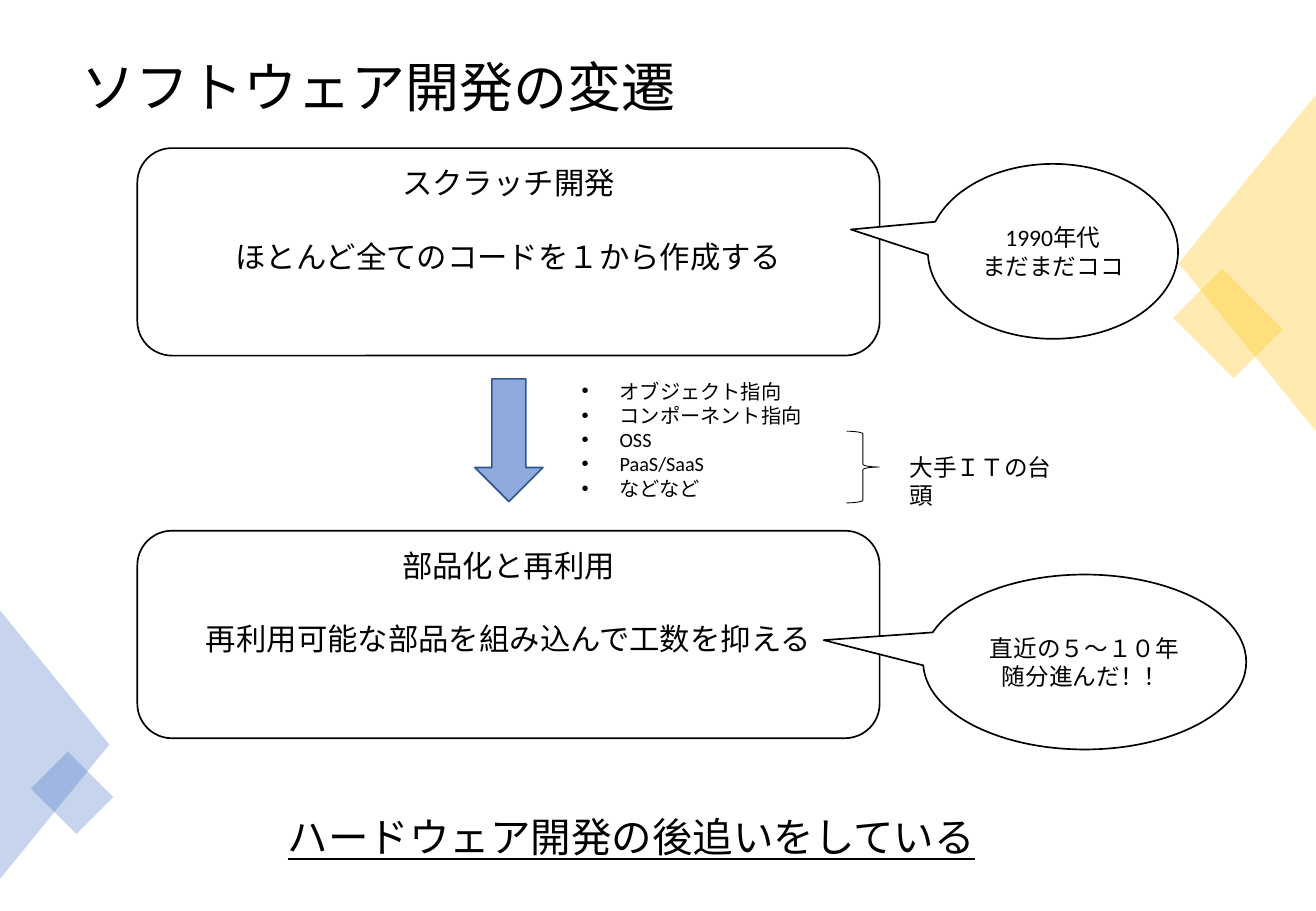
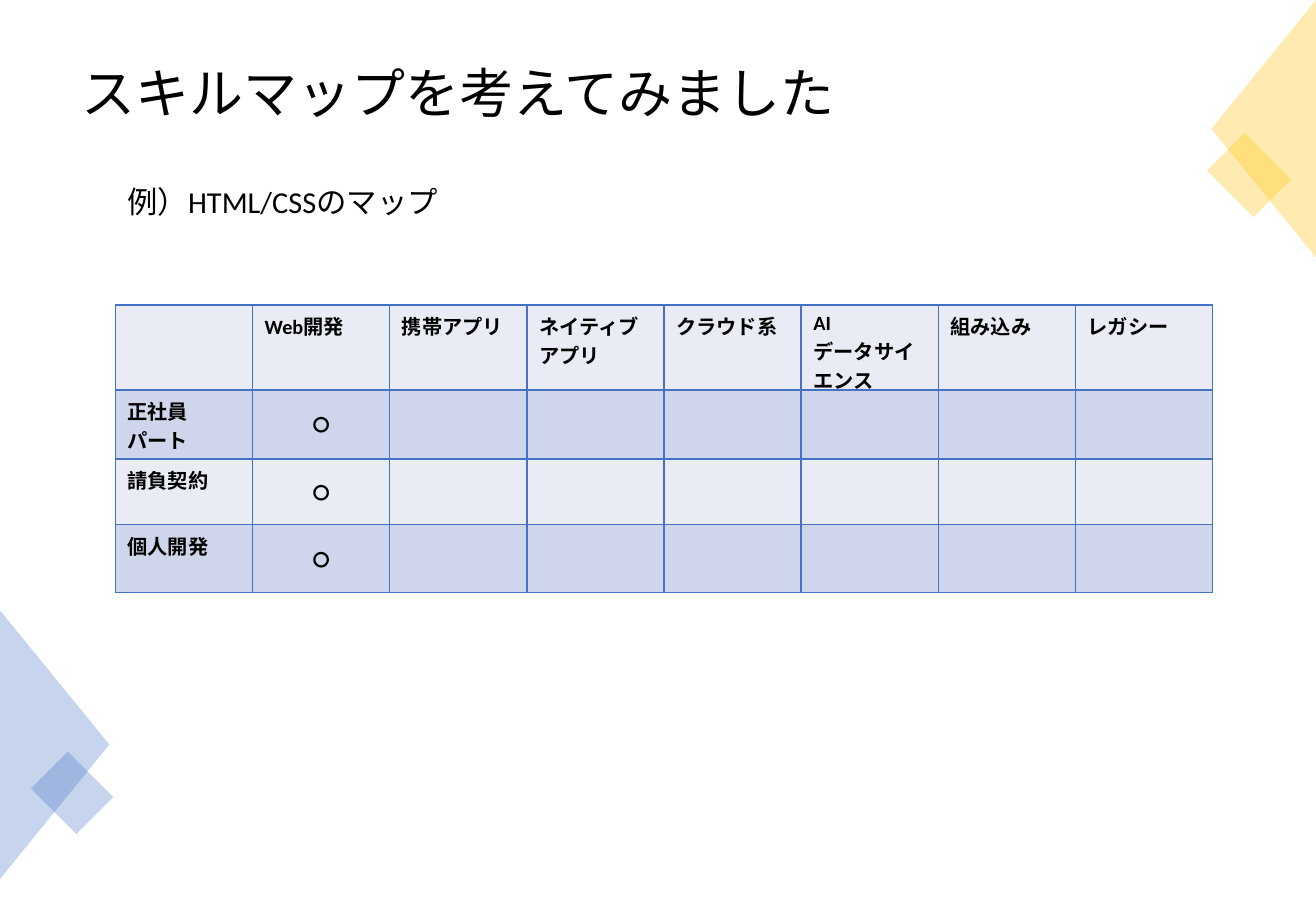
from collections import namedtuple

from pptx import Presentation
from pptx.dml.color import RGBColor
from pptx.enum.shapes import MSO_SHAPE
from pptx.enum.text import MSO_ANCHOR, PP_ALIGN
from pptx.oxml.ns import qn
from pptx.util import Pt
from lxml.etree import SubElement

Box = namedtuple("Box", "left top width height")

FONT = "Calibri"
COLORS = {
    "ink": "000000",
    "paper": "FFFFFF",
    "yellow": "FFC000",
    "blue": "4472C4",
    "arrow": "8FAADC",
    "arrow_edge": "325491",
    "row_light": "E9EBF5",
    "row_dark": "CFD5EA",
}

BLUE_CORNER = Box(0, 361.8, 64.8, 159.1)
CALLOUT_TIP = (-0.808, -0.125)

ERAS = [
    (Box(81.4, 87.8, 440, 123), "スクラッチ開発\nほとんど全てのコードを１から作成する"),
    (Box(81.4, 314.6, 440, 123), "部品化と再利用\n再利用可能な部品を組み込んで工数を抑える"),
]
REMARKS = [
    (Box(550, 97.2, 148.3, 103.7), "1990年代\nまだまだココ"),
    (Box(547.2, 340.6, 191.5, 103.7), "直近の５〜１０年\n随分進んだ！！"),
]
DRIVERS = ["オブジェクト指向", "コンポーネント指向", "OSS", "PaaS/SaaS", "などなど"]

FIELDS = ["", "Web開発", "携帯アプリ", "ネイティブアプリ", "クラウド系",
          "AI\nデータサイエンス", "組み込み", "レガシー"]
CONTRACTS = ["正社員\nパート", "請負契約", "個人開発"]
ROW_HEIGHTS = [47.5, 41, 38.9, 40.3]


def color(name):
    return RGBColor.from_string(COLORS[name])


def points(box):
    return [Pt(length) for length in box]


def write(frame, text, size, align=PP_ALIGN.LEFT, bold=False, underline=False):
    frame.text = text
    for paragraph in frame.paragraphs:
        paragraph.alignment = align
        for run in paragraph.runs:
            font = run.font
            font.name, font.size, font.bold = FONT, Pt(size), bold
            font.underline = underline
            font.color.rgb = color("ink")


def add_text(slide, box, text, size, **style):
    frame = slide.shapes.add_textbox(*points(box)).text_frame
    frame.word_wrap = True
    write(frame, text, size, **style)
    return frame


def add_preset(slide, kind, box, fill=None, line=None, weight=1):
    shape = slide.shapes.add_shape(kind, *points(box))
    shape.shadow.inherit = False
    if fill:
        shape.fill.solid()
        shape.fill.fore_color.rgb = color(fill)
    else:
        shape.fill.background()
    if line:
        shape.line.color.rgb = color(line)
        shape.line.width = Pt(weight)
    else:
        shape.line.fill.background()
    return shape


def add_glass(slide, kind, center, size, rotation, fill):
    """Place a 30 % opaque, rotated shape around a centre point."""
    (x, y), (width, height) = center, size
    shape = add_preset(slide, kind, Box(x - width / 2, y - height / 2, width, height), fill)
    shape.rotation = rotation
    tint = shape._element.spPr.find(qn("a:solidFill")).find(qn("a:srgbClr"))
    SubElement(tint, qn("a:alpha")).set("val", "30000")


def add_corner(slide, box, fill, on_right, share):
    """Triangle filling the box from a slide edge; share is square width to box height."""
    middle = (box.left + box.width / 2, box.top + box.height / 2)
    add_glass(slide, MSO_SHAPE.ISOSCELES_TRIANGLE, middle, (box.height, box.width),
              270 if on_right else 90, fill)
    across = 0.36 if on_right else 0.66
    center = (box.left + across * box.width, box.top + 0.68 * box.height)
    side = share * box.height
    add_glass(slide, MSO_SHAPE.RECTANGLE, center, (side, 0.81 * side), 45, fill)


def add_base(deck, title, title_box, yellow_corner):
    """Blank slide with the corner decoration and title."""
    slide = deck.slides.add_slide(deck.slide_layouts[6])
    add_corner(slide, yellow_corner, "yellow", True, 0.255)
    add_corner(slide, BLUE_CORNER, "blue", False, 0.24)
    frame = add_text(slide, title_box, title, 32)
    frame.vertical_anchor = MSO_ANCHOR.MIDDLE
    frame.paragraphs[0].line_spacing = 0.9
    return slide


def add_era(slide, box, text):
    panel = add_preset(slide, MSO_SHAPE.ROUNDED_RECTANGLE, box, line="ink")
    frame = panel.text_frame
    frame.vertical_anchor = MSO_ANCHOR.TOP
    write(frame, text, 18, PP_ALIGN.CENTER)
    frame.paragraphs[1].space_before = Pt(22)


def add_remark(slide, box, text):
    bubble = add_preset(slide, MSO_SHAPE.OVAL_CALLOUT, box, "paper", "ink")
    for index, offset in enumerate(CALLOUT_TIP):
        bubble.adjustments[index] = offset
    bubble.text_frame.vertical_anchor = MSO_ANCHOR.MIDDLE
    write(bubble.text_frame, text, 14, PP_ALIGN.CENTER)


def add_drivers(slide, box):
    """Arrow, bulleted drivers and the braced note, laid out from the box's corner."""
    def part(dx, dy, width, height):
        return Box(box.left + dx, box.top + dy, width, height)

    add_preset(slide, MSO_SHAPE.DOWN_ARROW, part(0, 3.6, 40.3, 72.7), "arrow", "arrow_edge")
    bullets = add_text(slide, part(56.2, 0, 150, box.height), "\n".join(DRIVERS), 12)
    for paragraph in bullets.paragraphs:
        properties = paragraph._p.get_or_add_pPr()
        properties.set("marL", str(Pt(22.5)))
        properties.set("indent", str(-Pt(22.5)))
        SubElement(properties, qn("a:buFont")).set("typeface", "Arial")
        SubElement(properties, qn("a:buChar")).set("char", "•")
    add_preset(slide, MSO_SHAPE.RIGHT_BRACE, part(220.3, 34.6, 19.4, 42.5),
               line="ink", weight=0.5)
    add_text(slide, part(250.5, 44, 100, 24.5), "大手ＩＴの台頭", 14)


def add_borders(cell):
    for side in ("lnL", "lnR", "lnT", "lnB"):
        border = SubElement(cell._tc.get_or_add_tcPr(), qn("a:" + side), w=str(Pt(1)))
        paint = SubElement(border, qn("a:solidFill"))
        SubElement(paint, qn("a:srgbClr")).set("val", COLORS["blue"])


def add_skill_map(slide, box):
    rows = [FIELDS] + [[contract, "○"] + [""] * (len(FIELDS) - 2) for contract in CONTRACTS]
    table = slide.shapes.add_table(len(rows), len(FIELDS), *points(box)).table
    table.first_row = table.horz_banding = False
    for column in table.columns:
        column.width = Pt(box.width / len(FIELDS))
    for r, (texts, height) in enumerate(zip(rows, ROW_HEIGHTS)):
        table.rows[r].height = Pt(height)
        for c, text in enumerate(texts):
            cell = table.cell(r, c)
            add_borders(cell)
            cell.fill.solid()
            cell.fill.fore_color.rgb = color("row_dark" if r % 2 else "row_light")
            if text == "○":
                cell.vertical_anchor = MSO_ANCHOR.MIDDLE
                write(cell.text_frame, text, 18, PP_ALIGN.CENTER)
            elif text:
                write(cell.text_frame, text, 12, bold=True)


def build_history(deck):
    slide = add_base(deck, "ソフトウェア開発の変遷", Box(41, 25.2, 697.7, 56.2),
                     Box(698.6, 56.2, 81.4, 199.4))
    for box, text in ERAS:
        add_era(slide, box, text)
    add_drivers(slide, Box(281.5, 221, 350.5, 79.9))
    for box, text in REMARKS:
        add_remark(slide, box, text)
    add_text(slide, Box(163.4, 478, 426.2, 36), "ハードウェア開発の後追いをしている", 24,
             underline=True)


def build_skills(deck):
    slide = add_base(deck, "スキルマップを考えてみました", Box(41, 12.2, 697.7, 89.3),
                     Box(718, 0, 62, 152.6))
    add_skill_map(slide, Box(68.4, 180.7, 650.4, sum(ROW_HEIGHTS)))
    add_text(slide, Box(68.4, 105.1, 200.2, 28.8), "例）HTML/CSSのマップ", 18)


def main():
    deck = Presentation()
    deck.slide_width, deck.slide_height = Pt(780), Pt(540)
    build_history(deck)
    build_skills(deck)
    deck.save("out.pptx")


if __name__ == "__main__":
    main()
